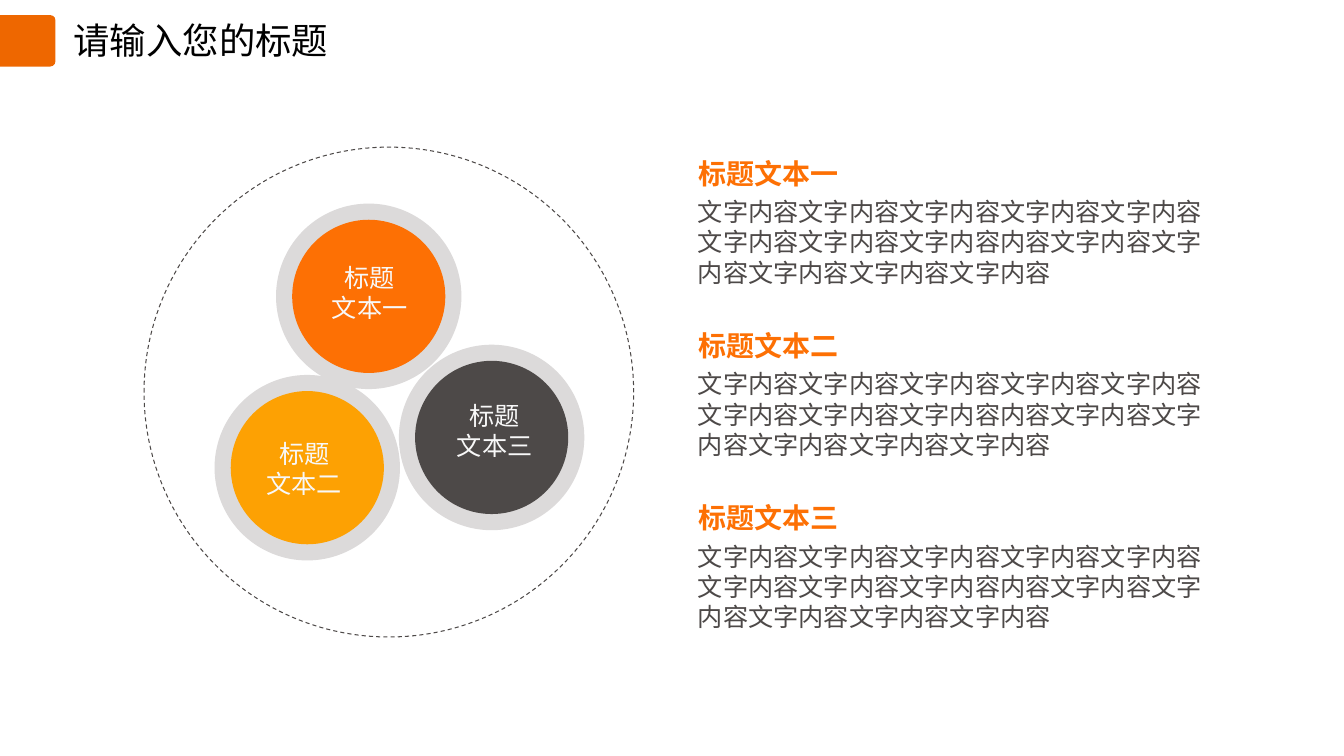
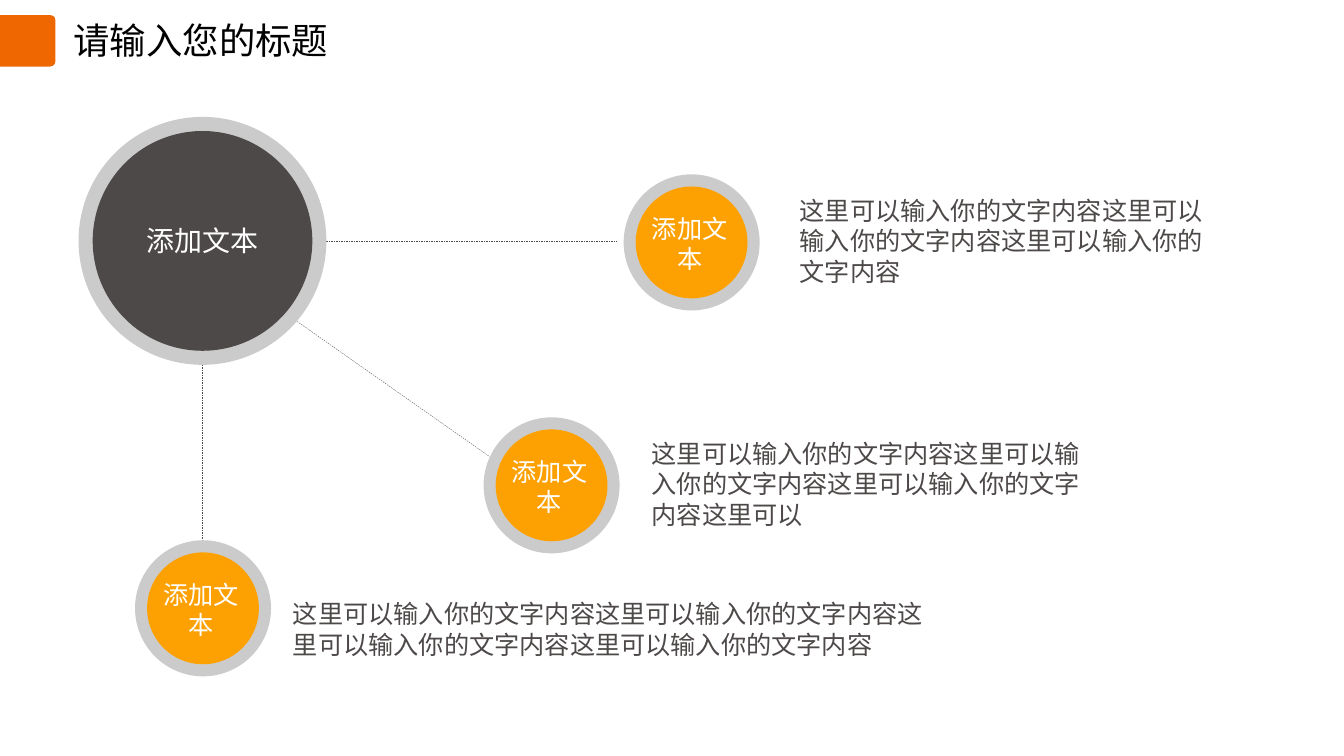
from lxml.etree import SubElement
from pptx import Presentation
from pptx.dml.color import RGBColor
from pptx.enum.dml import MSO_LINE
from pptx.enum.shapes import MSO_CONNECTOR, MSO_SHAPE as SHAPE
from pptx.enum.text import MSO_ANCHOR, PP_ALIGN as ALIGN
from pptx.oxml.ns import qn
from pptx.util import Pt

PX = 9144  # 100 px to the inch
FONT = "Noto Sans CJK SC"
COLORS = {
    "title": "000000", "band": "EE6700", "orange": "FD7004", "amber": "FDA103",
    "dark": "4D4948", "pale_ring": "DCDADA", "ring": "CBCBCB",
    "off_white": "F8F8F8", "white": "FFFFFF",
}


def color(name):
    return RGBColor.from_string(COLORS[name])


def emu(*lengths):
    return [round(length * PX) for length in lengths]


def write(frame, text, *, size=18, ink="dark", bold=False, align=ALIGN.LEFT, wrap=True):
    """Fill a text frame, one paragraph for each line of the text."""
    frame.text = text
    frame.word_wrap = wrap
    frame.vertical_anchor = MSO_ANCHOR.TOP
    for paragraph in frame.paragraphs:
        paragraph.alignment = align
        for run in paragraph.runs:
            run.font.name = FONT
            run.font.size = Pt(size)
            run.font.bold = bold
            run.font.color.rgb = color(ink)
            SubElement(run.font._element, qn("a:ea"), typeface=FONT)


def add_text(slide, box, text, **style):
    write(slide.shapes.add_textbox(*emu(*box)).text_frame, text, **style)


def add_shape(slide, kind, box, fill=None):
    shape = slide.shapes.add_shape(kind, *emu(*box))
    shape.shadow.inherit = False
    if fill:
        shape.fill.solid()
        shape.fill.fore_color.rgb = color(fill)
    else:
        shape.fill.background()
    shape.line.fill.background()
    return shape


def dash(line, width):
    line.color.rgb = color("dark")
    line.width = Pt(width)
    line.dash_style = MSO_LINE.DASH


def add_disc(slide, box, gap, ring, fill):
    """Draw a disc with a ring of the given thickness inside a square box."""
    left, top, side = box
    add_shape(slide, SHAPE.OVAL, (left, top, side, side), ring)
    inner = side - 2 * gap
    add_shape(slide, SHAPE.OVAL, (left + gap, top + gap, inner, inner), fill)


def add_label(slide, box, text, width, height, shift=(0, 0), **style):
    """Centre a label on a square box, moved by the shift."""
    left, top, side = box
    add_text(slide, (left + (side - width) / 2 + shift[0],
                     top + (side - height) / 2 + shift[1], width, height),
             text, align=ALIGN.CENTER, **style)


def add_dashed_line(slide, start, end):
    line = slide.shapes.add_connector(MSO_CONNECTOR.STRAIGHT, *emu(*start, *end))
    dash(line.line, 0.25)
    SubElement(line._element.spPr, qn("a:effectLst"))


def add_titled_slide(prs, title):
    slide = prs.slides.add_slide(prs.slide_layouts[5])
    heading = slide.shapes.title
    heading.left, heading.top, heading.width, heading.height = emu(63, 13, 1200, 54)
    write(heading.text_frame, title, size=26, ink="title")
    # A quarter turn puts the two rounded corners on the right.
    band = add_shape(slide, SHAPE.ROUND_2_SAME_RECTANGLE, (2, 13, 51, 55), "band")
    band.adjustments[0] = 0.1
    band.rotation = 90
    return slide


def add_cluster(slide, left, top, side):
    """Draw three discs inside a dashed circle."""
    orbit = add_shape(slide, SHAPE.OVAL, (left, top, side, side))
    dash(orbit.line, 0.75)
    discs = [
        (70, 226, "amber", "标题\n文本二", (-3, 1)),
        (253, 196, "dark", "标题\n文本三", (3, -7)),
        (131, 56, "orange", "标题\n文本一", (1, -4)),
    ]
    for dx, dy, fill, label, shift in discs:
        box = (left + dx, top + dy, 184)
        add_disc(slide, box, 16, "pale_ring", fill)
        add_label(slide, box, label, 101, 70, shift, ink="off_white")


def add_sections(slide, left, top, width, pitch):
    body = ("文字内容文字内容文字内容文字内容文字内容文字内容文字内容文字内容"
            "内容文字内容文字内容文字内容文字内容文字内容")
    for row, heading in enumerate(("标题文本一", "标题文本二", "标题文本三")):
        y = top + row * pitch
        add_text(slide, (left, y, 159, 44), heading,
                 size=20, ink="orange", bold=True, wrap=False)
        add_text(slide, (left, y + 40, width, 130), body)


def add_hub(slide, left, top, side):
    """Draw the large disc and the dashed lines that leave it."""
    center_x, center_y = left + side / 2, top + side / 2
    for start, end in [
        ((left + side, center_y), (612, center_y)),
        ((left + 217, top + 203), (486, 453)),
        ((center_x, top + side), (center_x, 537)),
    ]:
        add_dashed_line(slide, start, end)
    box = (left, top, side)
    add_disc(slide, box, 14, "ring", "dark")
    add_label(slide, box, "添加文本", 162, 44, size=20, ink="white")


def add_node(slide, left, top, note_box, note):
    """Draw a small disc and its note, whose box is relative to the disc."""
    box = (left, top, 135)
    add_disc(slide, box, 12, "ring", "amber")
    add_label(slide, box, "添加文本", 95, 70, (-2, 1), ink="white")
    dx, dy, width, height = note_box
    add_text(slide, (left + dx, top + dy, width, height), note)


def build_cluster_slide(prs):
    slide = add_titled_slide(prs, "请输入您的标题")
    add_cluster(slide, 143, 146, 486)
    add_sections(slide, 683, 150, 536, 171)


def build_hub_slide(prs):
    slide = add_titled_slide(prs, "请输入您的标题")
    add_hub(slide, 78, 116, 246)
    sentence = "这里可以输入你的文字内容"
    add_node(slide, 619, 173, (165, 16, 433, 100), sentence * 3)
    add_node(slide, 480, 414, (157, 16, 447, 100), sentence * 3 + "这里可以")
    add_node(slide, 134, 536, (147, 53, 660, 70), sentence * 4)


def main():
    prs = Presentation()
    prs.slide_width, prs.slide_height = emu(1334, 750)
    build_cluster_slide(prs)
    build_hub_slide(prs)
    prs.save("out.pptx")


if __name__ == "__main__":
    main()
